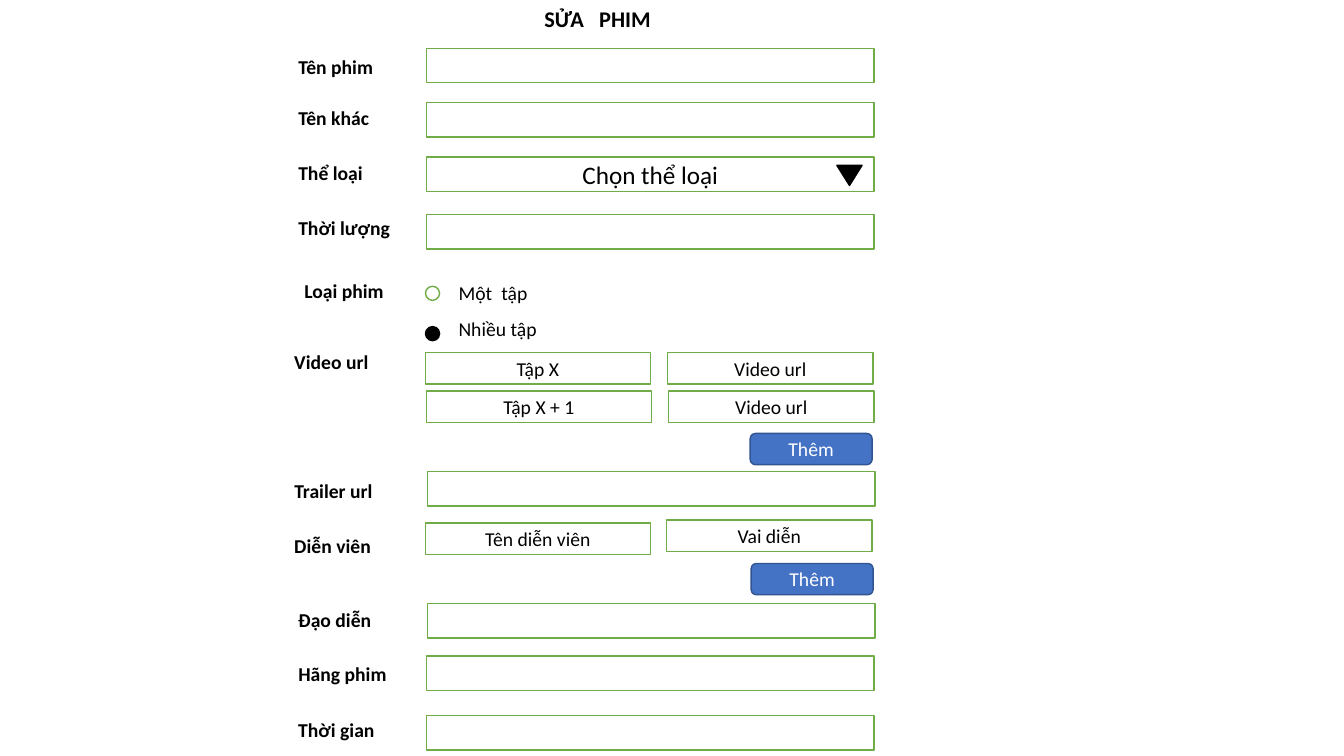
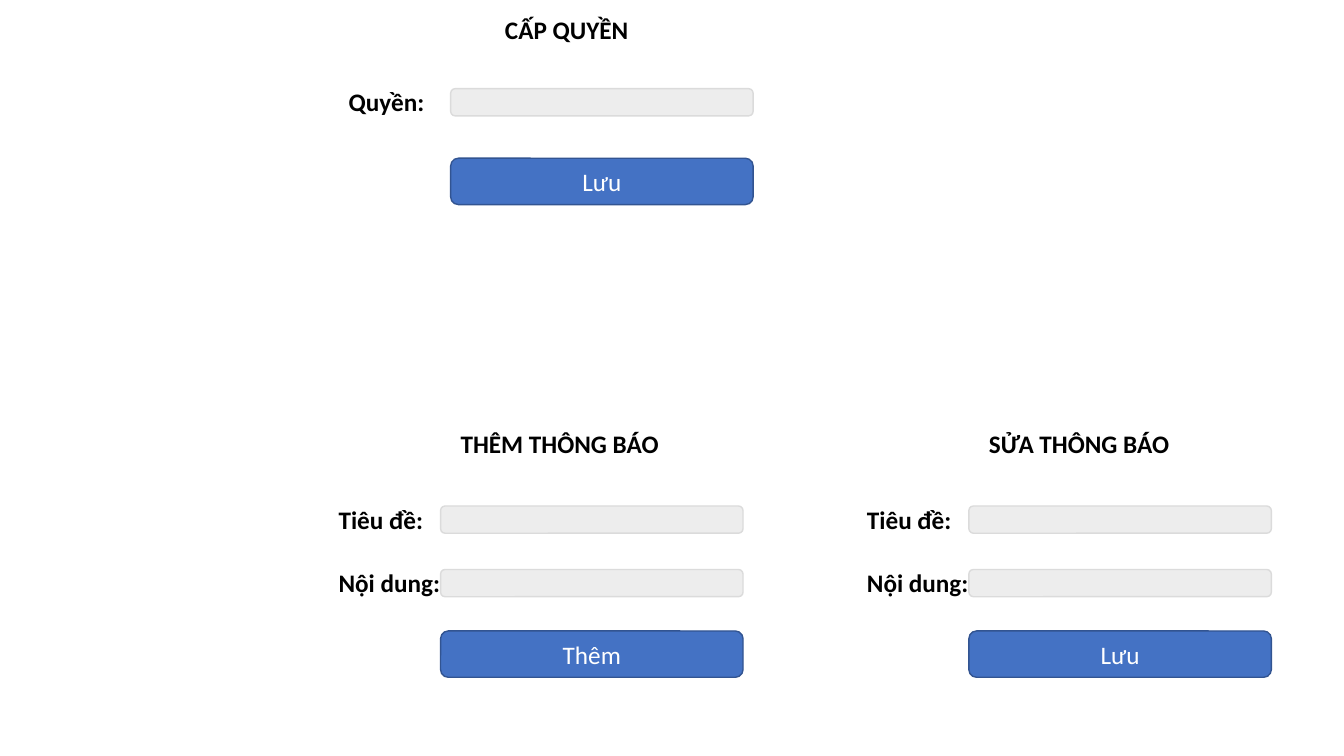
from pptx import Presentation
from pptx.dml.color import RGBColor
from pptx.enum.shapes import MSO_SHAPE
from pptx.enum.text import MSO_ANCHOR, MSO_AUTO_SIZE, PP_ALIGN
from pptx.util import Inches, Pt

BLACK, WHITE = "000000", "FFFFFF"
GREEN, BLUE, NAVY = "70AD47", "4472C4", "325491"
PALE, GREY = "EDEDED", "DBDBDB"


def color(code):
    return RGBColor.from_string(code)


class Deck:
    font = "Calibri"

    def __init__(self):
        self.prs = Presentation()
        self.prs.slide_width = Inches(13.33)
        self.prs.slide_height = Inches(7.5)
        self.slide = None

    def page(self):
        self.slide = self.prs.slides.add_slide(self.prs.slide_layouts[6])

    def run(self, para, text, size, ink=BLACK, bold=False):
        run = para.add_run()
        run.text = text
        font = run.font
        font.name, font.size, font.bold = self.font, Pt(size), bold
        font.color.rgb = color(ink)
        return run

    def label(self, x, y, w, h, text, size, bold=True, wrap=False, gap=0):
        """Left-aligned text; gap widens the spaces between words, in points."""
        box = self.slide.shapes.add_textbox(Inches(x), Inches(y), Inches(w), Inches(h))
        frame = box.text_frame
        frame.word_wrap = wrap
        frame.auto_size = MSO_AUTO_SIZE.SHAPE_TO_FIT_TEXT
        para = frame.paragraphs[0]
        words = text.split(" ") if gap else [text]
        for i, word in enumerate(words):
            if i:
                space = self.run(para, " ", size, bold=bold)
                space._r.get_or_add_rPr().set("spc", str(round(gap * 100)))
            self.run(para, word, size, bold=bold)

    def shape(self, kind, x, y, w, h, fill, line):
        shape = self.slide.shapes.add_shape(
            kind, Inches(x), Inches(y), Inches(w), Inches(h))
        shape.shadow.inherit = False
        shape.fill.solid()
        shape.fill.fore_color.rgb = color(fill)
        shape.line.color.rgb = color(line)
        shape.line.width = Pt(1)
        return shape

    def center(self, shape, text, size, ink):
        frame = shape.text_frame
        frame.vertical_anchor = MSO_ANCHOR.MIDDLE
        para = frame.paragraphs[0]
        para.alignment = PP_ALIGN.CENTER
        self.run(para, text, size, ink)

    def field(self, x, y, w=4.44, h=0.34, text="", size=14):
        box = self.shape(MSO_SHAPE.RECTANGLE, x, y, w, h, WHITE, GREEN)
        if text:
            self.center(box, text, size, BLACK)

    def button(self, x, y, w, h, text, size):
        box = self.shape(MSO_SHAPE.ROUNDED_RECTANGLE, x, y, w, h, BLUE, NAVY)
        self.center(box, text, size, WHITE)

    def radio(self, y, fill, line):
        self.shape(MSO_SHAPE.OVAL, 4.22, y, 0.14, 0.14, fill, line)

    def form(self, x, title, rows, save):
        """Small form: title (text, shift, top, width), rows, save button."""
        text, shift, top, width = title
        self.label(x + shift, top, width, 0.4, text, 18)
        for name, y in rows:
            self.label(x - 1.11, y, 3.31, 0.4, name, 18, wrap=True)
            self.shape(MSO_SHAPE.ROUNDED_RECTANGLE, x, y + 0.07, 3, 0.27, PALE, GREY)
        self.button(x, save[1], 3, 0.46, save[0], 18)


def movie(deck):
    deck.page()
    deck.label(5.3, 0, 1.27, 0.37, "SỬA PHIM", 16, gap=7.2)

    # Labels
    for text, x, y, w in [
        ("Tên phim", 2.86, 0.5, 0.95), ("Tên khác", 2.86, 1, 0.91),
        ("Thể loại", 2.86, 1.55, 0.85), ("Thời lượng", 2.86, 2.09, 1.12),
        ("Loại phim", 2.92, 2.72, 1), ("Video url", 2.82, 3.42, 0.94),
        ("Trailer url", 2.82, 4.7, 0.99), ("Diễn viên", 2.82, 5.25, 0.97),
        ("Đạo diễn", 2.86, 5.98, 0.93), ("Hãng phim", 2.86, 6.52, 1.08),
        ("Thời gian", 2.86, 7.07, 0.96),
    ]:
        deck.label(x, y, w, 0.34, text, 14)

    # Full-width fields
    for x, y in [(4.23, 0.48), (4.23, 1.02), (4.23, 2.13), (4.24, 4.68),
                 (4.24, 5.99), (4.23, 6.51), (4.23, 7.1)]:
        deck.field(x, y)

    # Genre list
    deck.field(4.23, 1.56, text="Chọn thể loại", size=18)
    arrow = deck.shape(MSO_SHAPE.ISOSCELES_TRIANGLE, 8.3, 1.64, 0.25, 0.2, BLACK, BLACK)
    arrow.rotation = 180

    # Film type
    deck.radio(2.84, WHITE, GREEN)
    deck.label(4.45, 2.74, 0.89, 0.34, "Một tập", 14, bold=False, gap=3.2)
    deck.radio(3.24, BLACK, BLACK)
    deck.label(4.45, 3.09, 0.98, 0.34, "Nhiều tập", 14, bold=False)

    # Paired fields: episodes and cast
    for text, x, y, w in [
        ("Tập X", 4.22, 3.5, 2.23), ("Video url", 6.62, 3.5, 2.04),
        ("Tập X + 1", 4.23, 3.88, 2.23), ("Video url", 6.63, 3.88, 2.04),
        ("Tên diễn viên", 4.22, 5.19, 2.23), ("Vai diễn", 6.61, 5.16, 2.04),
    ]:
        deck.field(x, y, w, 0.31, text)
    for x, y in [(7.44, 4.3), (7.45, 5.59)]:
        deck.button(x, y, 1.21, 0.31, "Thêm", 14)


def notice(deck):
    deck.page()
    # Access rights
    deck.form(4.47, ("CẤP QUYỀN", 0.44, 0.09, 1.44), [("Quyền:", 0.81)], ("Lưu", 1.57))
    # Add and edit a notice
    rows = [("Tiêu đề:", 4.95), ("Nội dung:", 5.58)]
    for x, text, width, save in [(4.37, "THÊM THÔNG BÁO", 2.19, "Thêm"),
                                 (9.61, "SỬA THÔNG BÁO", 2.01, "Lưu")]:
        deck.form(x, (text, 0.1, 4.2, width), rows, (save, 6.26))


def main():
    deck = Deck()
    movie(deck)
    notice(deck)
    deck.prs.save("out.pptx")


if __name__ == "__main__":
    main()
